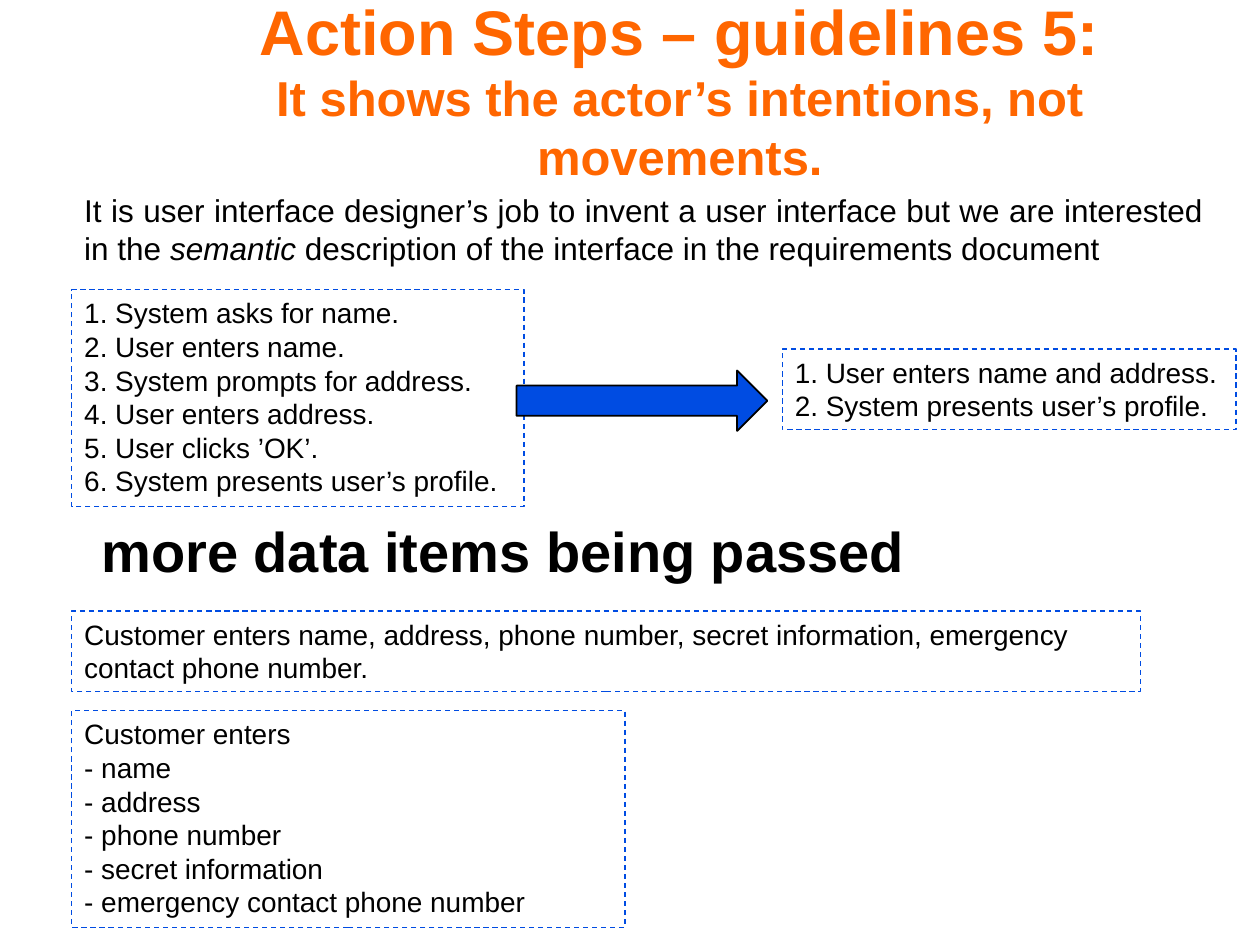
from pptx import Presentation
from pptx.dml.color import RGBColor
from pptx.enum.dml import MSO_LINE
from pptx.enum.shapes import MSO_SHAPE as Shape
from pptx.enum.text import MSO_ANCHOR as Anchor, MSO_AUTO_SIZE as AutoSize, PP_ALIGN as Align
from pptx.util import Inches, Pt

ORANGE, BLUE, BLACK = "FF6600", "004CE2", "000000"


def color(hex_code):
    return RGBColor.from_string(hex_code)


def add_run(paragraph, text, size=16, fill=BLACK, bold=False, italic=False):
    run = paragraph.add_run()
    run.text = text
    font = run.font
    font.name, font.size = "Arial", Pt(size)
    font.bold, font.italic = bold, italic
    font.color.rgb = color(fill)


class GuidelineSlide:
    def __init__(self, slide):
        self.shapes = slide.shapes

    def text(self, left, top, width, height, align=Align.LEFT, anchor=Anchor.TOP):
        """Add a text box and return its first paragraph."""
        box = self.shapes.add_textbox(*map(Inches, (left, top, width, height)))
        frame = box.text_frame
        frame.word_wrap = True
        frame.vertical_anchor = anchor
        frame.paragraphs[0].alignment = align
        return frame.paragraphs[0]

    def preset(self, kind, left, top, width, height, line, weight):
        shape = self.shapes.add_shape(kind, *map(Inches, (left, top, width, height)))
        shape.shadow.inherit = False
        shape.line.color.rgb = color(line)
        shape.line.width = Pt(weight)
        return shape

    def steps(self, left, top, width, height, lines):
        """Add a dashed box with one paragraph per step."""
        box = self.preset(Shape.RECTANGLE, left, top, width, height, BLUE, 0.75)
        box.fill.background()
        box.line.dash_style = MSO_LINE.DASH
        frame = box.text_frame
        frame.word_wrap = True
        frame.auto_size = AutoSize.SHAPE_TO_FIT_TEXT
        frame.vertical_anchor = Anchor.TOP
        for index, line in enumerate(lines):
            paragraph = frame.add_paragraph() if index else frame.paragraphs[0]
            paragraph.alignment = Align.LEFT
            add_run(paragraph, line)

    def arrow(self, left, top, width, height):
        arrow = self.preset(Shape.RIGHT_ARROW, left, top, width, height, BLACK, 1)
        arrow.fill.solid()
        arrow.fill.fore_color.rgb = color(BLUE)


def main():
    deck = Presentation()
    deck.slide_width, deck.slide_height = Inches(10), Inches(7.5)
    page = GuidelineSlide(deck.slides.add_slide(deck.slide_layouts[6]))
    margin = 0.57

    # Title
    title = page.text(1.02, 0.16, 8.75, 1.09, Align.CENTER, Anchor.MIDDLE)
    add_run(title, "Action Steps – guidelines 5:", size=36, fill=ORANGE, bold=True)
    title.add_line_break()
    add_run(title, "It shows the actor’s intentions, not movements.",
            size=28, fill=ORANGE, bold=True)

    # Movements rewritten as intentions
    page.steps(margin, 2.3, 3.59, 1.72, [
        "1. System asks for name.",
        "2. User enters name.",
        "3. System prompts for address.",
        "4. User enters address.",
        "5. User clicks ’OK’.",
        "6. System presents user’s profile.",
    ])
    page.arrow(4.1, 2.94, 1.99, 0.48)
    page.steps(6.21, 2.77, 3.6, 0.64, [
        "1. User enters name and address.",
        "2. System presents user’s profile.",
    ])

    # Passing several data items
    page.steps(margin, 4.85, 8.48, 0.64, [
        "Customer enters name, address, phone number, secret information, "
        "emergency contact phone number.",
    ])
    page.steps(margin, 5.64, 4.39, 1.72, [
        "Customer enters",
        "- name",
        "- address",
        "- phone number",
        "- secret information",
        "- emergency contact phone number",
    ])
    subtitle = page.text(0.68, 4.05, 6.63, 0.64, Align.CENTER)
    add_run(subtitle, "more data items being passed", size=32, bold=True)

    # Rationale
    rationale = page.text(margin, 1.47, 9.08, 0.71, Align.JUSTIFY)
    add_run(rationale, "It is user interface designer’s job to invent a user interface "
            "but we are interested in the ", size=18)
    add_run(rationale, "semantic", size=18, italic=True)
    add_run(rationale, " description of the interface in the requirements document", size=18)

    deck.save("out.pptx")


if __name__ == "__main__":
    main()
